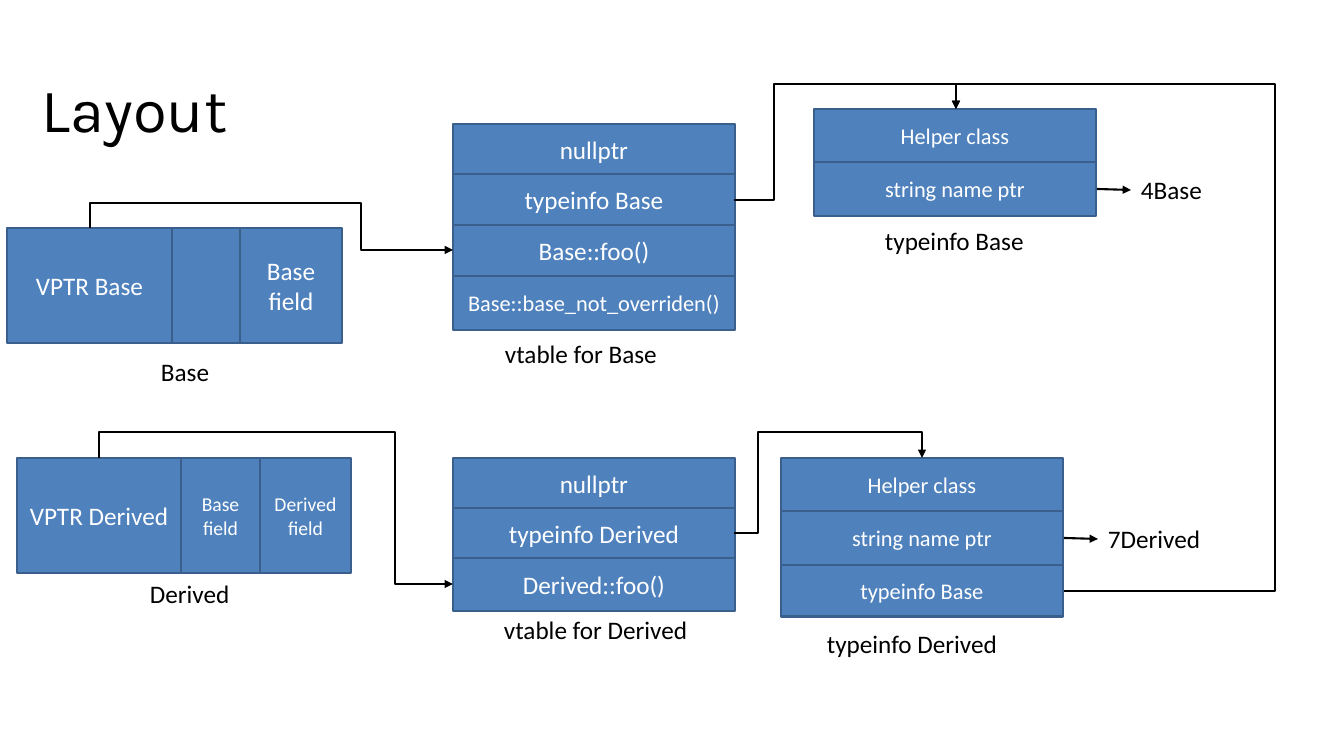
"""Build a slide showing the memory layout of Base and Derived objects."""
from lxml import etree
from pptx import Presentation
from pptx.dml.color import RGBColor
from pptx.enum.shapes import MSO_CONNECTOR, MSO_SHAPE
from pptx.enum.text import MSO_ANCHOR, MSO_AUTO_SIZE, PP_ALIGN
from pptx.oxml.ns import qn
from pptx.util import Pt

RECTANGLE = MSO_SHAPE.RECTANGLE
STRAIGHT, ELBOW = MSO_CONNECTOR.STRAIGHT, MSO_CONNECTOR.ELBOW
TOP, MIDDLE = MSO_ANCHOR.TOP, MSO_ANCHOR.MIDDLE
LEFT, CENTER = PP_ALIGN.LEFT, PP_ALIGN.CENTER
GROW = MSO_AUTO_SIZE.SHAPE_TO_FIT_TEXT

EMU_PER_PX = 914400 / 100.8
SLIDE_SIZE = (1344, 756)
TITLE = ("Layout", (42, 71, 210, 77))
BLUE, BLUE_EDGE, WHITE, BLACK = "4F81BD", "3A5F8C", "FFFFFF", "000000"
TITLE_FONT, BODY_FONT = "Karla", "Calibri"
COLUMN_WIDTH, RECORD_HEIGHT, LABEL_HEIGHT = 282, 115, 40

# Records: top, x edges, (text, size) for each field
RECORDS = [
    (228, [7, 172, 240, 342], [("VPTR Base", 18), ("", 18), ("Base field", 18)]),
    (458, [17, 181, 260, 351], [("VPTR Derived", 18), ("Base field", 14), ("Derived field", 14)]),
]
# Columns: left, y edges, (text, size) for each row
COLUMNS = [
    (453, [124, 174, 225, 276, 330],
     [("nullptr", 18), ("typeinfo Base", 18), ("Base::foo()", 18), ("Base::base_not_overriden()", 16)]),
    (453, [458, 508, 558, 611], [("nullptr", 18), ("typeinfo Derived", 18), ("Derived::foo()", 18)]),
    (814, [109, 162, 216], [("Helper class", 16), ("string name ptr", 16)]),
    (781, [458, 511, 565, 617], [("Helper class", 16), ("string name ptr", 16), ("typeinfo Base", 16)]),
]
# Labels: text, left, top, width
LABELS = [
    ("Base", 151, 351, 84), ("Derived", 140, 573, 110),
    ("vtable for Base", 495, 333, 194), ("vtable for Derived", 494, 609, 227),
    ("typeinfo Base", 875, 220, 188), ("typeinfo Derived", 817, 623, 230),
    ("4Base", 1131, 169, 93), ("7Derived", 1098, 518, 126),
]
# Arrows: start, end, and the corner lines (x, y) of a bent route
STRAIGHT_ARROWS = [((1097, 189), (1131, 190)), ((1064, 538), (1098, 539))]
POINTER_ARROWS = [((90, 228), (453, 250), (361, 203)), ((99, 458), (453, 584), (395, 432))]
TYPEINFO_ARROWS = [
    ((734, 200), (956, 109), (774, 84)),
    ((734, 533), (922, 458), (758, 432)),
    ((1064, 591), (956, 109), (1275, 84)),
]


def px(*values):
    return [round(value * EMU_PER_PX) for value in values]


def color(hex_string):
    return RGBColor.from_string(hex_string)


def set_text(shape, text, size, font_name, font_color, align, anchor):
    frame = shape.text_frame
    frame.text = text
    frame.word_wrap = True
    frame.vertical_anchor = anchor
    paragraph = frame.paragraphs[0]
    paragraph.alignment = align
    for run in paragraph.runs:
        run.font.size = Pt(size)
        run.font.name = font_name
        run.font.color.rgb = color(font_color)


def add_cell(slide, left, top, right, bottom, text="", size=18):
    cell = slide.shapes.add_shape(RECTANGLE, *px(left, top, right - left, bottom - top))
    cell.shadow.inherit = False
    cell.fill.solid()
    cell.fill.fore_color.rgb = color(BLUE)
    cell.line.color.rgb = color(BLUE_EDGE)
    cell.line.width = Pt(2)
    set_text(cell, text, size, BODY_FONT, WHITE, CENTER, MIDDLE)


def add_label(slide, text, left, top, width):
    label = slide.shapes.add_textbox(*px(left, top, width, LABEL_HEIGHT))
    set_text(label, text, 18, BODY_FONT, BLACK, LEFT, TOP)
    label.text_frame.auto_size = GROW


def add_arrow(slide, kind, start, end):
    arrow = slide.shapes.add_connector(kind, *px(*start, *end))
    arrow.line.color.rgb = color(BLACK)
    arrow.line.width = Pt(1.5)
    properties = arrow._element.spPr
    etree.SubElement(properties.find(qn("a:ln")), qn("a:tailEnd"), type="triangle")
    etree.SubElement(properties, qn("a:effectLst"))
    return properties


def bend(properties, *ratios):
    geometry = properties.find(qn("a:prstGeom"))
    geometry.set("prst", "bentConnector4")
    adjustments = geometry.find(qn("a:avLst"))
    for number, ratio in enumerate(ratios, 1):
        etree.SubElement(adjustments, qn("a:gd"), name=f"adj{number}",
                         fmla=f"val {round(ratio * 100000)}")


def add_bent_arrow(slide, start, end, corner, upright):
    width, height = end[0] - start[0], end[1] - start[1]
    x_ratio = (corner[0] - start[0]) / width
    y_ratio = (corner[1] - start[1]) / height
    if not upright:
        bend(add_arrow(slide, ELBOW, start, end), x_ratio, y_ratio)
        return
    center_x, center_y = (start[0] + end[0]) / 2, (start[1] + end[1]) / 2
    properties = add_arrow(slide, ELBOW,
                           (center_x - height / 2, center_y - width / 2),
                           (center_x + height / 2, center_y + width / 2))
    transform = properties.find(qn("a:xfrm"))
    transform.set("rot", str(270 * 60000))
    transform.set("flipH", "1")
    bend(properties, y_ratio, x_ratio)


def add_title(slide):
    text, box = TITLE
    title = slide.shapes.title
    title.left, title.top, title.width, title.height = px(*box)
    set_text(title, text, 44, TITLE_FONT, BLACK, LEFT, TOP)
    frame = title.text_frame
    frame.margin_left = frame.margin_top = frame.margin_right = frame.margin_bottom = 0
    frame.auto_size = GROW


def main():
    presentation = Presentation()
    presentation.slide_width, presentation.slide_height = px(*SLIDE_SIZE)
    slide = presentation.slides.add_slide(presentation.slide_layouts[5])
    add_title(slide)
    for top, edges, fields in RECORDS:
        for left, right, field in zip(edges, edges[1:], fields):
            add_cell(slide, left, top, right, top + RECORD_HEIGHT, *field)
    for left, edges, rows in COLUMNS:
        for top, bottom, row in zip(edges, edges[1:], rows):
            add_cell(slide, left, top, left + COLUMN_WIDTH, bottom, *row)
    for label in LABELS:
        add_label(slide, *label)
    for start, end in STRAIGHT_ARROWS:
        add_arrow(slide, STRAIGHT, start, end)
    for route in POINTER_ARROWS:
        add_bent_arrow(slide, *route, upright=True)
    for route in TYPEINFO_ARROWS:
        add_bent_arrow(slide, *route, upright=False)
    presentation.save("out.pptx")


if __name__ == "__main__":
    main()
